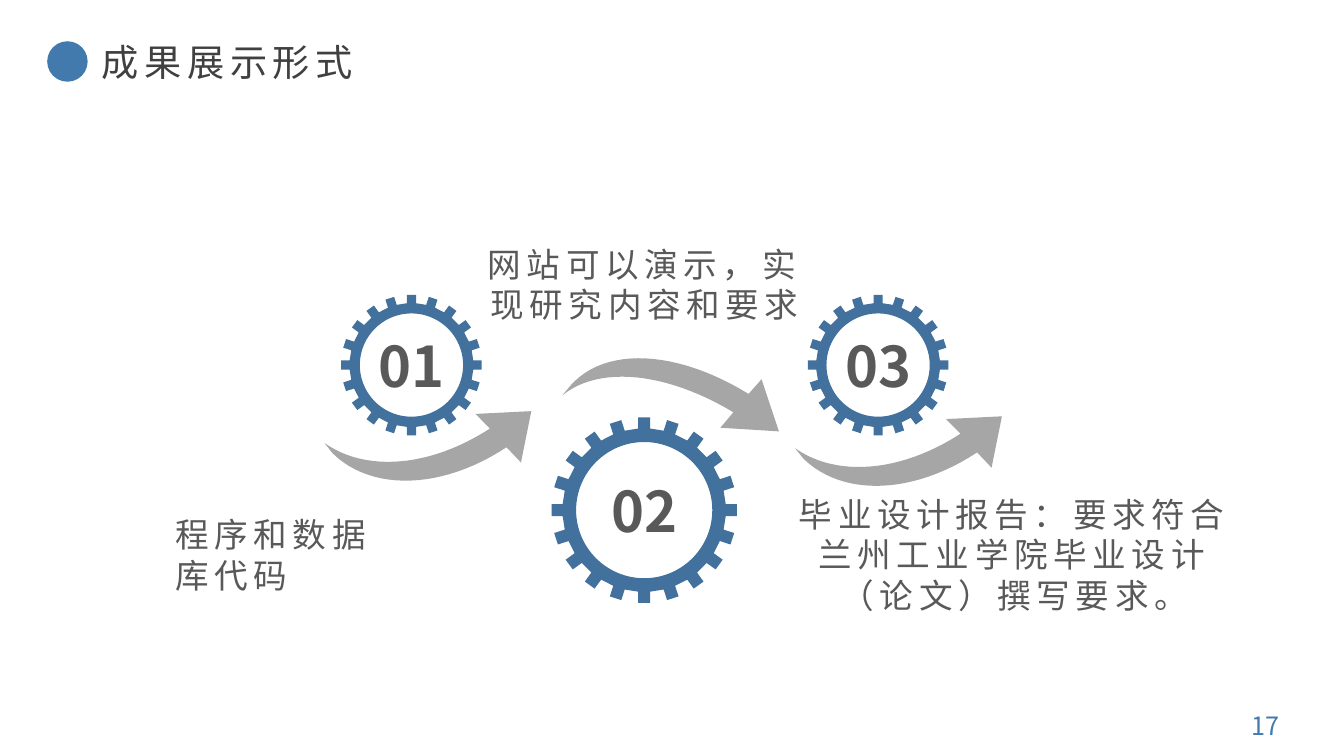
from math import cos, pi, sin

from lxml import etree
from pptx import Presentation
from pptx.dml.color import RGBColor
from pptx.enum.shapes import MSO_SHAPE
from pptx.enum.text import MSO_ANCHOR, PP_ALIGN
from pptx.oxml.ns import qn
from pptx.util import Cm, Pt

OVAL = MSO_SHAPE.OVAL
MIDDLE, TOP = MSO_ANCHOR.MIDDLE, MSO_ANCHOR.TOP
LEFT, CENTER = PP_ALIGN.LEFT, PP_ALIGN.CENTER

FONT = "Noto Sans CJK SC"
COLORS = {"accent": "427AAD", "gear": "41719C", "arrow": "A6A6A6",
          "title": "404040", "body": "595959"}

TEETH = 20
ROOT, HOLE, HALF_TOOTH = 0.88, 0.735, 0.065
UNITS_PER_CM = 1000

RISING = {"head": [(0.73, 0.04), (1, 0), (0.95, 0.74)],
          "outer": [(0.88, 0.52), (0.57, 1.13), (0.23, 1.16), (0.04, 0.61)],
          "inner": [(0, 0.46), (0.2, 0.88), (0.51, 0.81), (0.8, 0.25)]}
FALLING = {"head": [(0.73, 0.95), (1, 1), (0.92, 0.29)],
           "outer": [(0.86, 0.49), (0.53, -0.11), (0.2, -0.16), (0.04, 0.37)],
           "inner": [(0, 0.51), (0.17, 0.1), (0.48, 0.19), (0.79, 0.74)]}

GEARS = [("01", 8.6, 7.43, 3.54), ("02", 13.9, 10.52, 4.67), ("03", 20.36, 7.43, 3.54)]
ARROWS = [(RISING, (8.18, 10.36, 5.21, 1.75)),
          (FALLING, (14.17, 9.02, 5.46, 1.85)),
          (RISING, (20.04, 10.49, 5.21, 1.75))]
CAPTIONS = [("程序和数据库代码", (4.17, 12.83, 6.25, 2.31), LEFT),
            ("网站可以演示，实现研究内容和要求", (11.71, 6.02, 9.07, 2.31), CENTER),
            ("毕业设计报告：要求符合兰州工业学院毕业设计（论文）撰写要求。",
             (19.61, 12.32, 11.91, 3.33), CENTER)]


def paint(shape, color):
    """Give a shape a flat fill without outline or shadow."""
    shape.shadow.inherit = False
    shape.fill.solid()
    shape.fill.fore_color.rgb = RGBColor.from_string(COLORS[color])
    shape.line.fill.background()


def write(frame, text, size, color, align=LEFT, bold=False, spacing=0):
    """Write one styled paragraph into a text frame."""
    para = frame.paragraphs[0]
    para.alignment = align
    span = para.add_run()
    span.text = text
    font = para.font
    font.name, font.size, font.bold = FONT, Pt(size), bold
    font.color.rgb = RGBColor.from_string(COLORS[color])
    para_props = para._p.get_or_add_pPr()
    default = para_props.find(qn("a:defRPr"))
    etree.SubElement(default, qn("a:ea"), typeface=FONT)
    span_props = span._r.get_or_add_rPr()
    span_props.set("spc", str(spacing * 100))
    etree.SubElement(span_props, qn("a:ea"), typeface=FONT)


def add_text(page, box, text, size, color, anchor=TOP, wrap=True, **style):
    """Place a text box in the given box."""
    frame = page.shapes.add_textbox(*map(Cm, box)).text_frame
    frame.word_wrap = wrap
    frame.vertical_anchor = anchor
    write(frame, text, size, color, **style)


def add_outline(page, contours, color):
    """Draw closed contours, given in centimetres, as one freeform."""
    scaled = [[(x * UNITS_PER_CM, y * UNITS_PER_CM) for x, y in contour]
              for contour in contours]
    builder = page.shapes.build_freeform(*scaled[0][0], scale=Cm(1) / UNITS_PER_CM)
    builder.add_line_segments(scaled[0][1:], close=True)
    for contour in scaled[1:]:
        builder.move_to(*contour[0])
        builder.add_line_segments(contour[1:], close=True)
    shape = builder.convert_to_shape()
    paint(shape, color)
    return shape


def add_gear(page, number, left, top, size):
    """Draw a numbered ring gear in a square box."""
    radius = size / 2

    def place(x, y):
        return left + radius * (1 + x), top + radius * (1 + y)

    rim = []
    for tooth in range(TEETH):
        angle = 2 * pi * tooth / TEETH
        for along, across in ((ROOT, -HALF_TOOTH), (1, -HALF_TOOTH),
                              (1, HALF_TOOTH), (ROOT, HALF_TOOTH)):
            rim.append(place(along * cos(angle) - across * sin(angle),
                             along * sin(angle) + across * cos(angle)))
    hole = [place(HOLE * cos(-pi * step / 60), HOLE * sin(-pi * step / 60))
            for step in range(120)]
    frame = add_outline(page, [rim, hole], "gear").text_frame
    frame.margin_left = frame.margin_right = frame.margin_top = frame.margin_bottom = 0
    frame.vertical_anchor = MIDDLE
    write(frame, number, 40, "body", align=CENTER, bold=True)


def curve(points, steps=24):
    """Return points along a cubic curve."""
    return [tuple((1 - t) ** 3 * a + 3 * (1 - t) ** 2 * t * b
                  + 3 * (1 - t) * t ** 2 * c + t ** 3 * d
                  for a, b, c, d in zip(*points))
            for t in (step / steps for step in range(steps + 1))]


def add_arrow(page, style, box):
    """Draw a swooping arrow scaled to the box."""
    left, top, width, height = box
    contour = style["head"] + curve(style["outer"]) + curve(style["inner"])
    add_outline(page, [[(left + x * width, top + y * height) for x, y in contour]], "arrow")


def add_heading(page, box, text):
    """Draw the title with its round marker at the left of the box."""
    left, top, width, height = box
    marker = page.shapes.add_shape(OVAL, Cm(left), Cm(top + 0.18), Cm(1.02), Cm(1.02))
    paint(marker, "accent")
    add_text(page, (left + 1.12, top, width - 1.12, height), text, 26.6, "title",
             wrap=False, spacing=4)


def add_process(page):
    """Draw the gears, the arrows between them and their captions."""
    for gear in GEARS:
        add_gear(page, *gear)
    for style, box in ARROWS:
        add_arrow(page, style, box)
    for text, box, align in CAPTIONS:
        add_text(page, box, text, 24, "body", align=align, spacing=4)


def main():
    """Build and save the deck."""
    deck = Presentation()
    deck.slide_width, deck.slide_height = Cm(33.87), Cm(19.05)
    page = deck.slides.add_slide(deck.slide_layouts[6])
    add_text(page, (30.94, 17.88, 1.9, 0.81), "17", 18, "accent",
             anchor=MIDDLE, align=CENTER)
    add_process(page)
    add_heading(page, (1.19, 0.86, 8.13, 1.4), "成果展示形式")
    deck.save("out.pptx")


if __name__ == "__main__":
    main()
